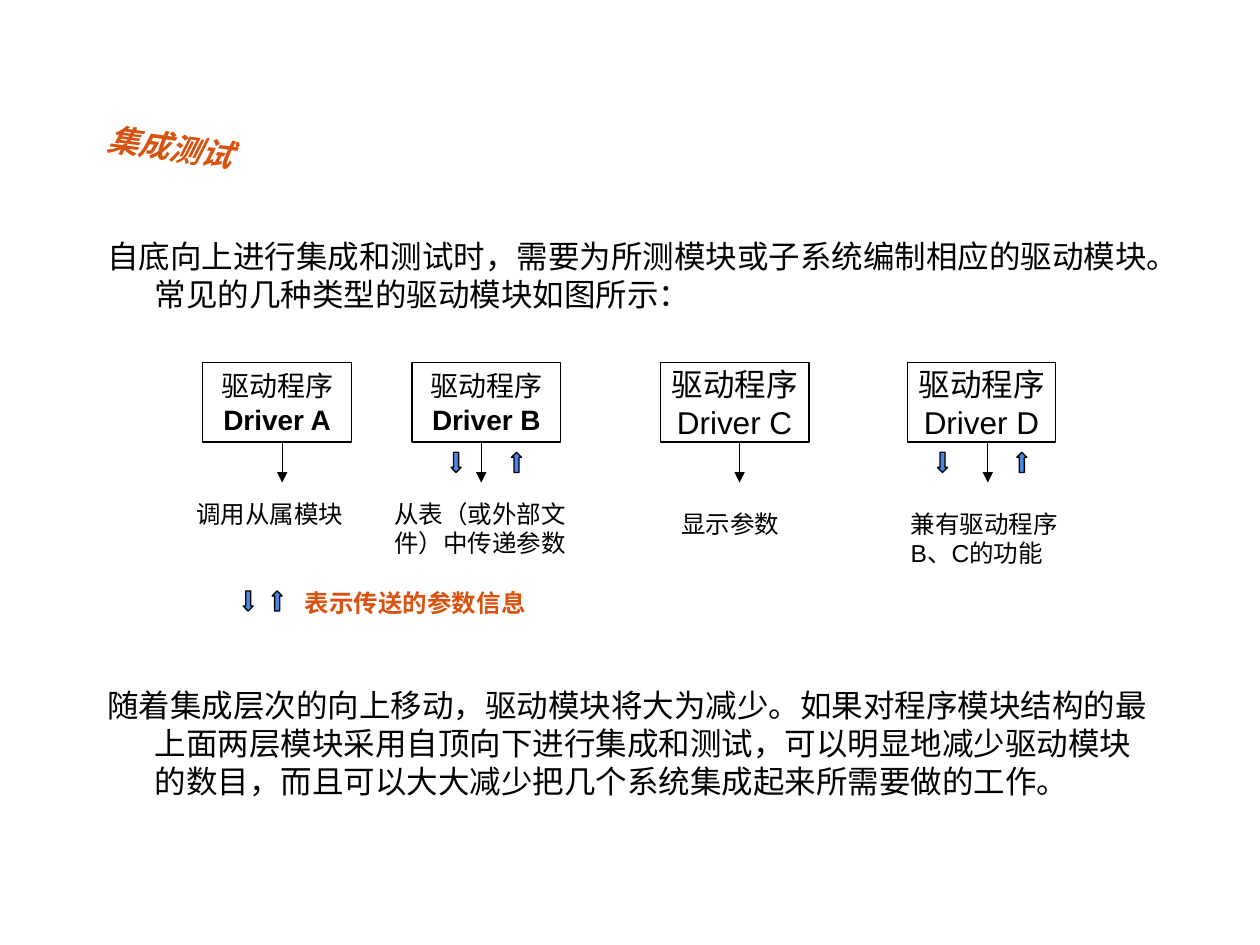
from dataclasses import dataclass

from lxml.etree import SubElement
from pptx import Presentation
from pptx.dml.color import RGBColor
from pptx.enum.shapes import MSO_CONNECTOR, MSO_SHAPE
from pptx.enum.text import MSO_ANCHOR, MSO_AUTO_SIZE, PP_ALIGN
from pptx.oxml.ns import qn
from pptx.util import Inches, Pt

BLACK = RGBColor(0x00, 0x00, 0x00)
WHITE = RGBColor(0xFF, 0xFF, 0xFF)
ORANGE = RGBColor(0xD9, 0x52, 0x0F)
BLUE = RGBColor(0x49, 0x87, 0xE3)
FONT = "Arial"

BOX_TOP, BOX_WIDTH, BOX_HEIGHT = 2.88, 1.18, 0.63
CALL_LENGTH = 0.32
ARROW_WIDTH, ARROW_HEIGHT = 0.08, 0.16


@dataclass
class Driver:
    name: str
    left: float
    size: int
    bold: bool
    call_offset: float  # call line, from the left edge of the box
    caption: str
    caption_box: tuple
    parameter_offsets: tuple = ()  # down and up arrows, from the left edge


DRIVERS = [
    Driver("Driver A", 1.61, 16, True, 0.63, "调用从属模块", (1.46, 3.91, 1.5, 0.34)),
    Driver("Driver B", 3.27, 16, True, 0.55, "从表（或外部文件）中传递参数",
           (3.03, 3.91, 1.65, 0.57), (0.31, 0.79)),
    Driver("Driver C", 5.24, 18, False, 0.63, "显示参数", (5.31, 3.99, 1.34, 0.34)),
    Driver("Driver D", 7.2, 18, False, 0.64, "兼有驱动程序B、C的功能",
           (7.13, 3.99, 1.57, 0.57), (0.24, 0.87)),
]


def place(shape, box):
    shape.left, shape.top, shape.width, shape.height = map(Inches, box)


def style(paragraph, size, color=BLACK, bold=False, italic=False):
    font = paragraph.font
    font.name, font.size, font.bold, font.italic = FONT, Pt(size), bold, italic
    font.color.rgb = color


def add_outlined_shape(slide, kind, box, fill):
    shape = slide.shapes.add_shape(kind, *map(Inches, box))
    shape.shadow.inherit = False
    shape.fill.solid()
    shape.fill.fore_color.rgb = fill
    shape.line.color.rgb = BLACK
    shape.line.width = Pt(0.75)
    return shape


def add_title(slide, box):
    title = slide.shapes.title
    place(title, box)
    title.rotation = 7.7
    frame = title.text_frame
    frame.text = "集成测试"
    frame.auto_size = MSO_AUTO_SIZE.NONE
    frame.vertical_anchor = MSO_ANCHOR.TOP
    paragraph = frame.paragraphs[0]
    paragraph.alignment = PP_ALIGN.LEFT
    style(paragraph, 18, ORANGE, bold=True, italic=True)


def add_body(slide, box):
    body = slide.placeholders[1]
    place(body, box)
    frame = body.text_frame
    frame.auto_size = MSO_AUTO_SIZE.NONE
    frame.text = (
        "自底向上进行集成和测试时，需要为所测模块或子系统编制相应的驱动模块。"
        "常见的几种类型的驱动模块如图所示：\n"
        "随着集成层次的向上移动，驱动模块将大为减少。如果对程序模块结构的最上面两层模块"
        "采用自顶向下进行集成和测试，可以明显地减少驱动模块的数目，"
        "而且可以大大减少把几个系统集成起来所需要做的工作。"
    )
    # The second paragraph leaves room for the diagram
    for paragraph, space_before in zip(frame.paragraphs, (4.5, 213.5)):
        style(paragraph, 18)
        paragraph.space_before = Pt(space_before)
        properties = paragraph._p.get_or_add_pPr()
        properties.set("marL", str(Inches(0.38)))
        properties.set("indent", str(-Inches(0.38)))
        SubElement(properties, qn("a:buNone"))
        # Bullet settings come before the default run properties
        properties.append(properties.find(qn("a:defRPr")))


def add_caption(slide, text, box, color=BLACK, bold=False):
    frame = slide.shapes.add_textbox(*map(Inches, box)).text_frame
    frame.word_wrap = True
    frame.text = text
    paragraph = frame.paragraphs[0]
    paragraph.space_before = Pt(8.8)
    style(paragraph, 14, color, bold)


def add_call_line(slide, x, top):
    line = slide.shapes.add_connector(
        MSO_CONNECTOR.STRAIGHT, Inches(x), Inches(top), Inches(x), Inches(top + CALL_LENGTH))
    line.line.color.rgb = BLACK
    line.line.width = Pt(0.75)
    SubElement(line.line._get_or_add_ln(), qn("a:tailEnd"), type="triangle")
    SubElement(line._element.spPr, qn("a:effectLst"))


def add_parameter_arrows(slide, lefts, top):
    for kind, left in zip((MSO_SHAPE.DOWN_ARROW, MSO_SHAPE.UP_ARROW), lefts):
        add_outlined_shape(slide, kind, (left, top, ARROW_WIDTH, ARROW_HEIGHT), BLUE)


def add_driver(slide, driver, top):
    # Labelled box
    box = add_outlined_shape(
        slide, MSO_SHAPE.RECTANGLE, (driver.left, top, BOX_WIDTH, BOX_HEIGHT), WHITE)
    frame = box.text_frame
    frame.word_wrap = False
    frame.vertical_anchor = MSO_ANCHOR.MIDDLE
    frame.text = f"驱动程序\n{driver.name}"
    for paragraph, bold in zip(frame.paragraphs, (False, driver.bold)):
        paragraph.alignment = PP_ALIGN.CENTER
        style(paragraph, driver.size, bold=bold)

    # Call line, parameter arrows and caption below it
    bottom = top + BOX_HEIGHT
    add_call_line(slide, driver.left + driver.call_offset, bottom)
    add_parameter_arrows(
        slide, [driver.left + offset for offset in driver.parameter_offsets], bottom + 0.08)
    add_caption(slide, driver.caption, driver.caption_box)


def add_legend(slide, left, top):
    add_parameter_arrows(slide, (left, left + 0.23), top + 0.07)
    add_caption(slide, "表示传送的参数信息", (left + 0.39, top, 2.13, 0.34), ORANGE, bold=True)


def main():
    presentation = Presentation()
    presentation.slide_width, presentation.slide_height = Inches(10), Inches(7.5)
    slide = presentation.slides.add_slide(presentation.slide_layouts[1])
    add_title(slide, (0.75, 0.99, 1.59, 0.4))
    add_body(slide, (0.75, 1.83, 8.58, 5.08))
    for driver in DRIVERS:
        add_driver(slide, driver, BOX_TOP)
    add_legend(slide, 1.93, 4.62)
    presentation.save("out.pptx")


if __name__ == "__main__":
    main()
